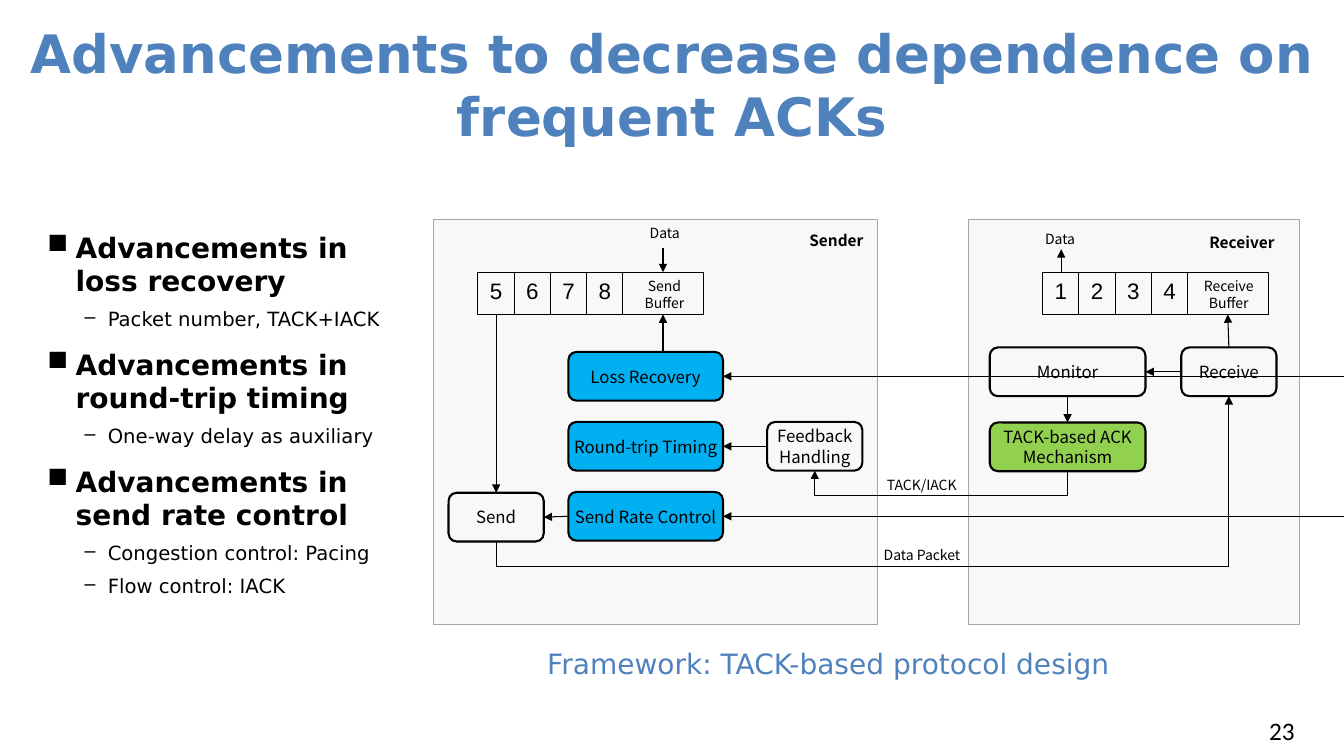
from dataclasses import dataclass
from itertools import pairwise

from lxml.etree import SubElement
from pptx import Presentation
from pptx.dml.color import RGBColor
from pptx.enum.shapes import MSO_CONNECTOR as Link, MSO_SHAPE as Shape
from pptx.enum.text import MSO_ANCHOR as Anchor, MSO_AUTO_SIZE as Fit, PP_ALIGN as Align
from pptx.oxml.ns import qn
from pptx.util import Pt


@dataclass(frozen=True)
class Theme:
    accent: str = "4F81BD"
    ink: str = "000000"
    panel: str = "F2F2F2"
    panel_edge: str = "A6A6A6"
    sender_module: str = "00B0F0"
    ack_module: str = "92D050"
    heading_font: str = "DejaVu Sans"
    diagram_font: str = "Noto Sans CJK SC"
    cell_font: str = "Arial"
    page_font: str = "Calibri"
    title: float = 37.8
    heading: float = 20
    page: float = 18
    cell: float = 16
    detail: float = 14
    module: float = 12
    side: float = 11
    label: float = 10


THEME = Theme()
WIDTH, HEIGHT = 960, 540

deck = Presentation()
deck.slide_width, deck.slide_height = Pt(WIDTH), Pt(HEIGHT)
slide = deck.slides.add_slide(deck.slide_layouts[5])


def write(text, left=0, top=0, width=0, height=0, *, holder=None, outline=None,
          fill=None, edge=THEME.ink, weight=0.75, font=THEME.diagram_font,
          size=THEME.label, color=THEME.ink, bold=False, align=Align.LEFT,
          anchor=Anchor.TOP, inset=None, wrap=True):
    """Place text in a placeholder, an outlined shape or a plain text box."""
    area = [Pt(value) for value in (left, top, width, height)]
    if holder is not None:
        item = holder
        item.left, item.top, item.width, item.height = area
    elif outline is not None:
        item = slide.shapes.add_shape(outline, *area)
        item.shadow.inherit = False
        item.line.color.rgb = RGBColor.from_string(edge)
        item.line.width = Pt(weight)
        if fill:
            item.fill.solid()
            item.fill.fore_color.rgb = RGBColor.from_string(fill)
        else:
            item.fill.background()
    else:
        item = slide.shapes.add_textbox(*area)
    frame = item.text_frame
    frame.text = text
    frame.word_wrap = wrap
    frame.auto_size = Fit.NONE
    frame.vertical_anchor = anchor
    if inset is not None:
        frame.margin_left = frame.margin_right = Pt(inset)
        frame.margin_top = frame.margin_bottom = Pt(inset / 2)
    for paragraph in frame.paragraphs:
        paragraph.alignment = align
        for run in paragraph.runs:
            run.font.name, run.font.size, run.font.bold = font, Pt(size), bold
            run.font.color.rgb = RGBColor.from_string(color)
    return item


def arrow(*points):
    """Join the points with straight legs and put an arrowhead on the last."""
    for start, end in pairwise(points):
        leg = slide.shapes.add_connector(
            Link.STRAIGHT, *(Pt(value) for value in (*start, *end)))
        leg.line.color.rgb = RGBColor.from_string(THEME.ink)
        leg.line.width = Pt(0.75)
        SubElement(leg._element.spPr, qn("a:effectLst"))
    SubElement(leg.line._get_or_add_ln(), qn("a:tailEnd"), type="triangle")


# Title
write("Advancements to decrease dependence on frequent ACKs", 0, 15, WIDTH, 90,
      holder=slide.shapes.title, font=THEME.heading_font, size=THEME.title,
      color=THEME.accent, bold=True, align=Align.CENTER, anchor=Anchor.MIDDLE)

# Receiver and sender panels
for left, width in ((691.8, 236.2), (309.6, 317)):
    panel = write("", left, 157, width, 289.4, outline=Shape.RECTANGLE,
                  fill=THEME.panel, edge=THEME.panel_edge)
    tint = panel._element.spPr.find(qn("a:solidFill"))[0]
    SubElement(tint, qn("a:alpha"), val="50000")

# Packet buffers
CELL, BUFFER_TOP, BUFFER_HEIGHT = 25.9, 194.4, 30.2
BUFFER_BOTTOM = BUFFER_TOP + BUFFER_HEIGHT
for left, packets, buffer_name, label_left, label_width in (
        (341.4, "5678", "Send\nBuffer", 452.6, 44),
        (744.8, "1234", "Receive\nBuffer", 852.2, 51)):
    for index, packet in enumerate(packets):
        write(packet, left + index * CELL, BUFFER_TOP, CELL, BUFFER_HEIGHT,
              outline=Shape.RECTANGLE, font=THEME.cell_font, size=THEME.cell,
              align=Align.CENTER)
    write("", left + len(packets) * CELL, BUFFER_TOP, 57.6, BUFFER_HEIGHT,
          outline=Shape.RECTANGLE)
    write(buffer_name, label_left, 194.5, label_width, 31.5,
          align=Align.CENTER, wrap=False)

# Protocol modules
MODULE_HEIGHT = 34.8
for name, left, top, width, fill in (
        ("Send", 320.4, 352, 68, None),
        ("Loss Recovery", 406, 251.4, 110.4, THEME.sender_module),
        ("Round-trip Timing", 406, 301.4, 110.4, THEME.sender_module),
        ("Send Rate Control", 406, 351.4, 110.4, THEME.sender_module),
        ("Feedback Handling", 548, 301.4, 68, None),
        ("Monitor", 707, 248.2, 111.2, None),
        ("TACK-based ACK Mechanism", 707, 301.8, 111.2, THEME.ack_module),
        ("Receive", 843.8, 248.2, 68, None)):
    write(name, left, top, width, MODULE_HEIGHT, outline=Shape.ROUNDED_RECTANGLE,
          fill=fill, weight=1.5, size=THEME.module, align=Align.CENTER,
          anchor=Anchor.MIDDLE, inset=0)

# Data and control flows
SEND_X, FEEDBACK_X, MONITOR_X, RECEIVE_X = 354.4, 582, 762.6, 877.8
for flow in (
        ((SEND_X, BUFFER_BOTTOM), (SEND_X, 352)),
        ((406, 368.8), (388.4, 369.4)),
        ((548, 318.8), (516.4, 318.8)),
        ((473.6, 251.4), (473.6, BUFFER_BOTTOM)),
        ((473.6, 177), (473.6, BUFFER_TOP)),
        ((758, BUFFER_TOP), (758, 178)),
        ((MONITOR_X, 283), (MONITOR_X, 301.8)),
        ((RECEIVE_X, 248.2), (877, BUFFER_BOTTOM)),
        ((843.8, 265.6), (818.2, 265.6)),
        ((WIDTH, 268.8), (516.4, 268.8)),
        ((WIDTH, 368.8), (516.4, 368.8)),
        ((SEND_X, 386.8), (SEND_X, 404.6), (RECEIVE_X, 404.6), (RECEIVE_X, 283)),
        ((MONITOR_X, 336.6), (MONITOR_X, 354), (FEEDBACK_X, 354),
         (FEEDBACK_X, 336.2))):
    arrow(*flow)

# Flow and side labels
for text, left, top, width in (
        ("TACK/IACK", 626.4, 337, 68.4), ("Data Packet", 624.2, 386.8, 72),
        ("Data", 457, 157, 37.4), ("Data", 739.4, 161.4, 37.4)):
    write(text, left, top, width, 19.4, wrap=False)
for text, left, top, width in (
        ("Sender", 571, 161.2, 53.2), ("Receiver", 856.8, 162.8, 62)):
    write(text, left, top, width, 20.8, size=THEME.side, bold=True, wrap=False)

# Advancements list
advancements = (
    (0, "Advancements in loss recovery"),
    (1, "Packet number, TACK+IACK"),
    (0, "Advancements in round-trip timing"),
    (1, "One-way delay as auxiliary"),
    (0, "Advancements in send rate control"),
    (1, "Congestion control: Pacing"),
    (1, "Flow control: IACK"),
)
outline_list = write("\n".join(text for _, text in advancements),
                     27.4, 161.2, 264.2, 278, font=THEME.heading_font,
                     size=THEME.heading, bold=True, inset=6.4)
for index, (level, _) in enumerate(advancements):
    point = outline_list.text_frame.paragraphs[index]
    point.level = level
    if level:
        mark, margin, hang = "–", 43.2, 16.6
        point.line_spacing = 1.4
        point.runs[0].font.size, point.runs[0].font.bold = Pt(THEME.detail), False
    else:
        mark, margin, hang = "■", 20.2, 20.2
        point.space_before = Pt(12 if index else 6)
    properties = point._p.get_or_add_pPr()
    properties.set("marL", str(Pt(margin)))
    properties.set("indent", str(-Pt(hang)))
    SubElement(properties, qn("a:buChar"), char=mark)

# Caption and page number
write("Framework: TACK-based protocol design", 383.8, 458, 427, 31.6,
      font=THEME.heading_font, size=THEME.heading, color=THEME.accent, wrap=False)
write("23", 899.4, 507.6, 46.8, 28.8, font=THEME.page_font, size=THEME.page)

deck.save("out.pptx")
